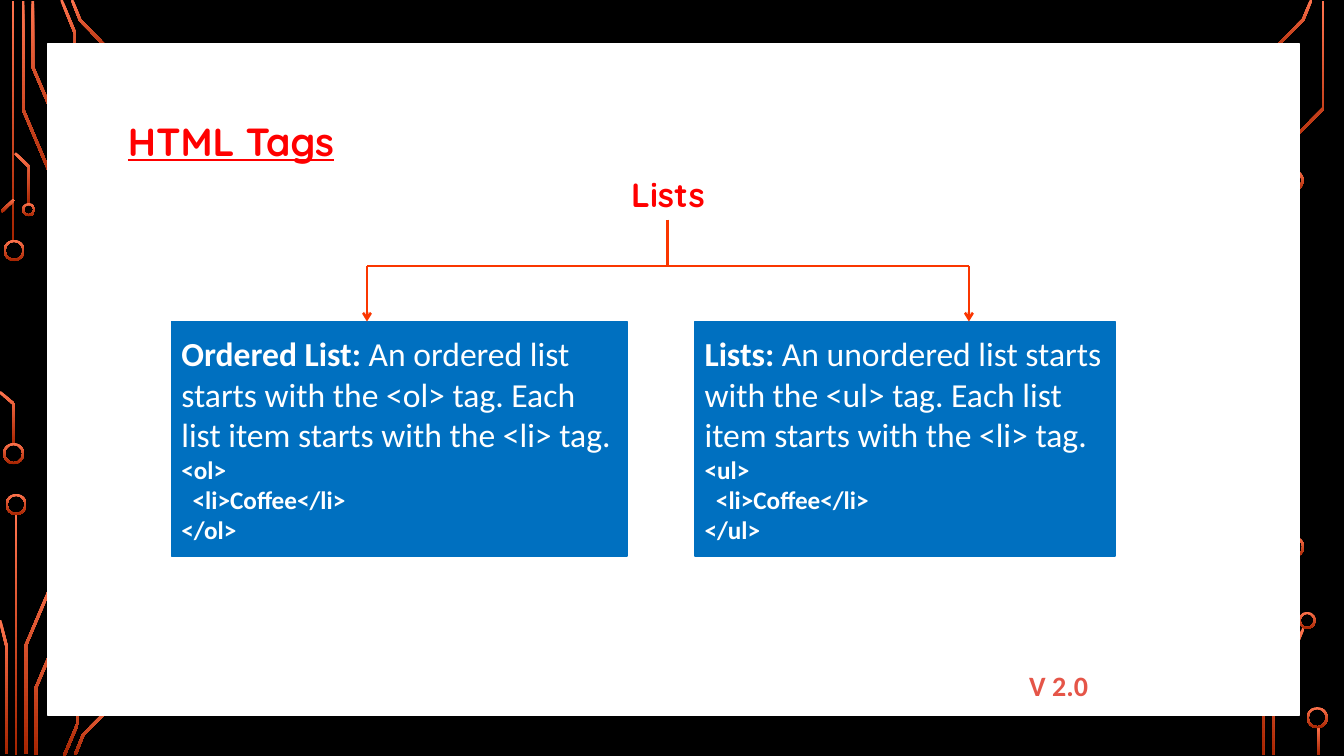
from dataclasses import dataclass
from math import hypot

from lxml.etree import SubElement
from pptx import Presentation
from pptx.dml.color import RGBColor as Rgb
from pptx.enum.shapes import MSO_CONNECTOR as Connector, MSO_SHAPE as Shape
from pptx.enum.text import MSO_ANCHOR as Anchor, MSO_AUTO_SIZE as AutoSize, PP_ALIGN as Align
from pptx.oxml.ns import qn
from pptx.util import Inches, Pt

CELL = Inches(0.01)
COLUMNS, ROWS = 1333, 750


@dataclass(frozen=True)
class Theme:
    """Colours, fonts and sizes of the deck."""
    backdrop: str = "000000"
    panel: str = "FFFFFF"
    trace_light: str = "FF744E"
    trace_dark: str = "A62400"
    heading: str = "FF0000"
    card: str = "0070C0"
    card_text: str = "FFFFFF"
    arrow: str = "FA3600"
    version: str = "E55548"
    heading_font: str = "Quicksand"
    body_font: str = "Calibri"
    title_size: int = 28
    body_size: int = 24
    version_size: int = 20
    code_size: int = 18
    outline: float = 1.25
    arrow_width: float = 1.75


@dataclass(frozen=True)
class Box:
    """An area measured in grid cells."""
    left: float
    top: float
    width: float
    height: float

    def inner(self, left, top, width, height):
        """Return an area offset from this one's corner."""
        return Box(self.left + left, self.top + top, width, height)

    def emu(self):
        """Return the four lengths in slide units."""
        return [round(n * CELL) for n in (self.left, self.top, self.width, self.height)]


THEME = Theme()

LEFT_TRACES = [
    [(13, 1), (13, 239)],
    [(23, 1), (23, 109), (61, 199)],
    [(32.5, 1), (32.5, 66.5), (71, 156.5)],
    [(61, 0), (74.5, 33), (74.5, 100)],
    [(71.5, 0), (79.5, 20), (115.5, 57)],
    [(1.5, 210), (14, 198)],
    [(0, 389), (14, 401), (14, 441)],
    [(15, 152), (29, 165.5), (29, 203)],
    [(16, 510), (16, 749)],
    [(63.5, 551), (25.5, 640.5), (25.5, 748)],
    [(0, 615), (6.5, 641), (6.5, 748)],
    [(73.5, 593), (35.5, 682.5), (35.5, 749)],
    [(77.5, 650), (77.5, 717), (63.5, 750)],
    [(118, 693), (82.5, 729), (74.5, 749)],
]
RIGHT_TRACES = [
    [(1300.5, 0), (1292.5, 19.5), (1257, 55.5)],
    [(1293, 623), (1262.5, 693.5), (1262.5, 749)],
    [(1312.5, 1), (1312.5, 107.5), (1282, 138.5), (1282, 169)],
    [(1283.5, 552), (1283.5, 583.5), (1252.5, 613.5), (1252.5, 749)],
    [(1307.5, 721), (1307.5, 749)],
]
RINGS = [
    (14, 248.5, 21), (13.5, 450, 21), (28.5, 208, 13), (16, 500.5, 21),
    (1282.5, 179, 21), (1296.5, 615.5, 17), (1283, 542.5, 21), (1306.5, 712, 21),
]
CARDS = [
    ((170, 319, 452, 233), "Ordered List: ",
     "An ordered list starts with the <ol> tag. Each list item starts with the <li> tag.",
     "<ol>\n  <li>Coffee</li>\n</ol>"),
    ((689, 319, 417, 233), "Lists: ",
     "An unordered list starts with the <ul> tag. Each list item starts with the <li> tag.",
     "<ul>\n  <li>Coffee</li>\n</ul>"),
]


def style_font(font, size, color, name, bold=True):
    """Set the look of a font."""
    font.size, font.name, font.bold = Pt(size), name, bold
    font.color.rgb = Rgb.from_string(color)


def fill_trace(shape):
    """Fill a circuit part from light to dark, top to bottom."""
    shape.shadow.inherit = False
    shape.line.fill.background()
    shape.fill.gradient()
    shape.fill.gradient_angle = 270
    for stop, color in zip(shape.fill.gradient_stops, (THEME.trace_light, THEME.trace_dark)):
        stop.color.rgb = Rgb.from_string(color)


def ribbon(points, half=1.3):
    """Return the outline of a band that follows the points."""
    normals = []
    for (x1, y1), (x2, y2) in zip(points, points[1:]):
        length = hypot(x2 - x1, y2 - y1)
        normals.append(((y1 - y2) / length, (x2 - x1) / length))
    near, far = [], []
    for (x, y), (ax, ay), (bx, by) in zip(points, normals[:1] + normals, normals + normals[-1:]):
        reach = half / (1 + ax * bx + ay * by)
        dx, dy = (ax + bx) * reach, (ay + by) * reach
        near.append((x + dx, y + dy))
        far.append((x - dx, y - dy))
    return near + far[::-1]


def add_circuit(page, box):
    """Draw the circuit traces and rings along both edges."""
    for points in LEFT_TRACES + RIGHT_TRACES:
        outline = [((box.left + x) * CELL, (box.top + y) * CELL) for x, y in ribbon(points)]
        builder = page.shapes.build_freeform(*outline[0], scale=1.0)
        builder.add_line_segments(outline[1:], close=True)
        fill_trace(builder.convert_to_shape())
    for x, y, size in RINGS:
        area = box.inner(x - size / 2, y - size / 2, size, size)
        ring = page.shapes.add_shape(Shape.DONUT, *area.emu())
        ring.adjustments[0] = 2 / size
        fill_trace(ring)


def add_block(page, box, color):
    """Draw a plain filled rectangle."""
    block = page.shapes.add_shape(Shape.RECTANGLE, *box.emu())
    block.shadow.inherit = False
    block.fill.solid()
    block.fill.fore_color.rgb = block.line.color.rgb = Rgb.from_string(color)
    block.line.width = Pt(THEME.outline)
    return block


def add_label(page, box, text, size, color, name, align=Align.LEFT):
    """Place one line of bold text and return its paragraph."""
    frame = page.shapes.add_textbox(*box.emu()).text_frame
    frame.word_wrap = True
    frame.auto_size = AutoSize.SHAPE_TO_FIT_TEXT
    para = frame.paragraphs[0]
    para.text, para.alignment = text, align
    style_font(para.font, size, color, name)
    return para


def add_card(page, box, term, meaning, code):
    """Draw a card with a definition and a code sample."""
    frame = add_block(page, box, THEME.card).text_frame
    frame.word_wrap, frame.vertical_anchor = True, Anchor.MIDDLE
    definition, sample = frame.paragraphs[0], frame.add_paragraph()
    for text, bold in ((term, True), (meaning, False)):
        span = definition.add_run()
        span.text = text
        span.font.bold = bold
    style_font(definition.font, THEME.body_size, THEME.card_text, THEME.body_font, None)
    sample.text = code
    style_font(sample.font, THEME.code_size, THEME.card_text, THEME.body_font)
    for para in (definition, sample):
        para.alignment = Align.LEFT


def add_link(page, box, start, end, arrow=False):
    """Draw a straight line, with an arrowhead if asked."""
    ends = [round(n * CELL) for x, y in (start, end) for n in (box.left + x, box.top + y)]
    link = page.shapes.add_connector(Connector.STRAIGHT, *ends)
    link.line.color.rgb = Rgb.from_string(THEME.arrow)
    link.line.width = Pt(THEME.arrow_width)
    properties = link.line.fill and link.element.spPr
    if arrow:
        SubElement(properties.find(qn("a:ln")), qn("a:tailEnd"), type="arrow")
    SubElement(properties, qn("a:effectLst"))


def add_tree(page, box):
    """Draw the two list cards and the branches leading to them."""
    for area, term, meaning, code in CARDS:
        add_card(page, box.inner(*area), term, meaning, code)
    trunk, top, fork, bottom = 662, 218, 264, 319
    add_link(page, box, (trunk, top), (trunk, fork))
    for branch in (364, 961):
        add_link(page, box, (trunk, fork), (branch, fork))
        add_link(page, box, (branch, fork), (branch, bottom), arrow=True)


def add_tags_slide(deck):
    """Build the slide about list tags."""
    page = deck.slides.add_slide(deck.slide_layouts[6])
    page.background.fill.solid()
    page.background.fill.fore_color.rgb = Rgb.from_string(THEME.backdrop)
    box = Box(0, 0, COLUMNS, ROWS)
    add_circuit(page, box)
    add_block(page, box.inner(47, 44, 1242, 665), THEME.panel)
    title = add_label(page, box.inner(117, 111, 1091, 57), "HTML Tags",
                      THEME.title_size, THEME.heading, THEME.heading_font)
    title.font.underline = True
    add_label(page, box.inner(117, 168, 1091, 50), "Lists",
              THEME.body_size, THEME.heading, THEME.heading_font, Align.CENTER)
    add_tree(page, box)
    add_label(page, box.inner(1011, 658, 197, 44), "V 2.0",
              THEME.version_size, THEME.version, THEME.body_font)


def main():
    """Build and save the deck."""
    deck = Presentation()
    deck.slide_width, deck.slide_height = COLUMNS * CELL, ROWS * CELL
    add_tags_slide(deck)
    deck.save("out.pptx")


if __name__ == "__main__":
    main()
